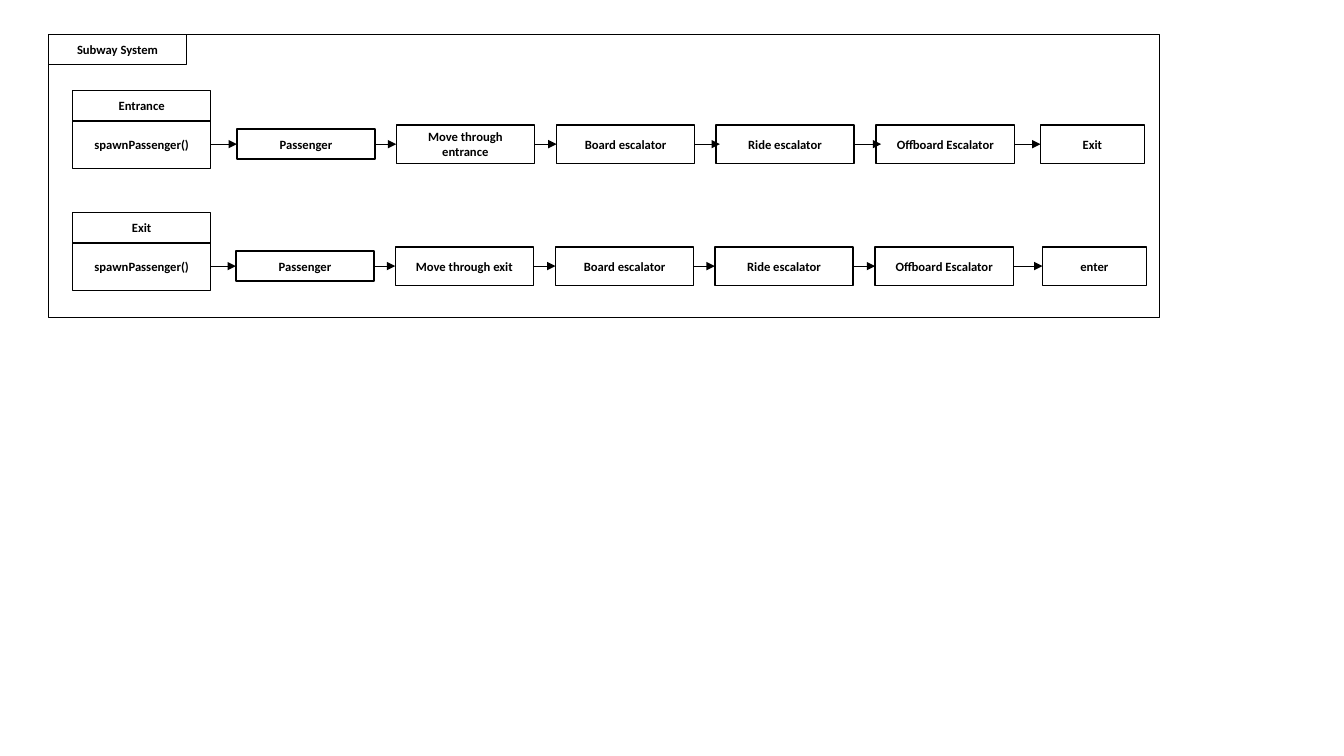
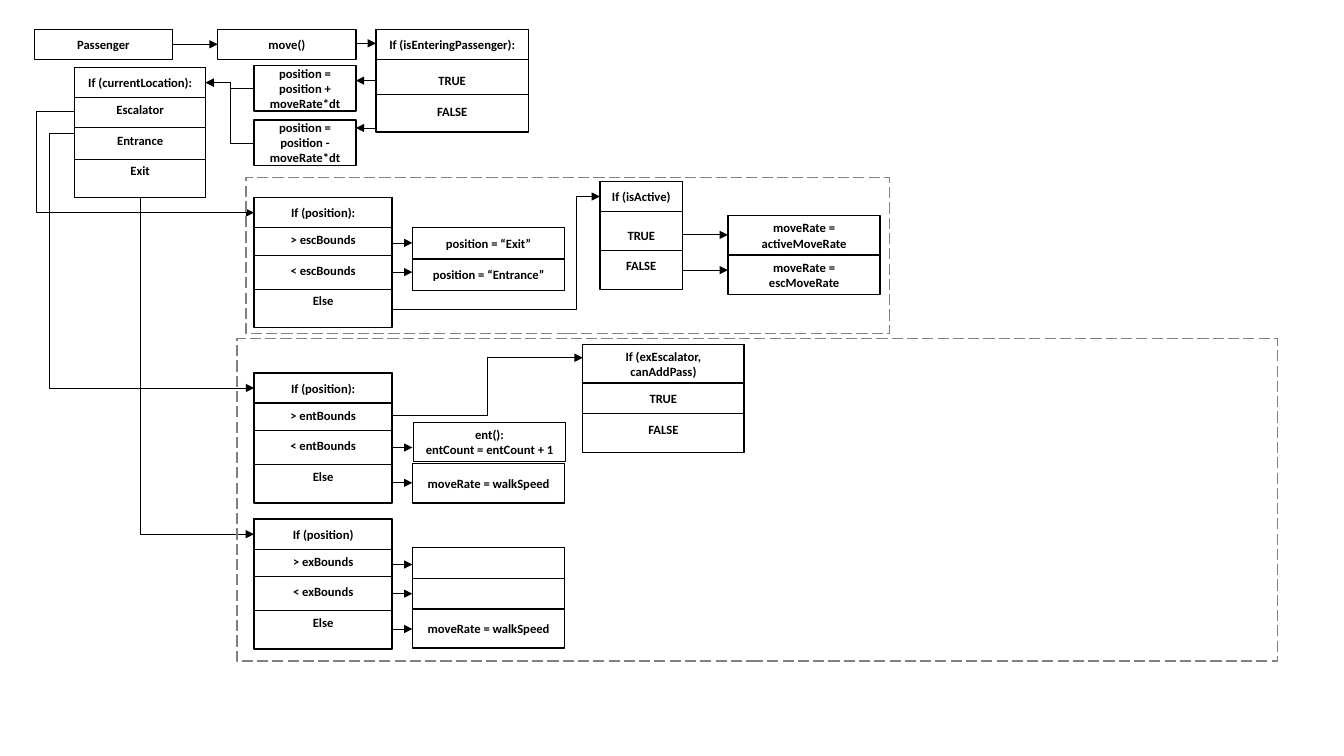
"""Draw two flow charts of a subway passenger simulation."""
import lxml.etree
import pptx
import pptx.dml.color
import pptx.enum.dml
import pptx.enum.shapes
import pptx.enum.text
import pptx.oxml.ns
import pptx.util

BLACK = pptx.dml.color.RGBColor(0x00, 0x00, 0x00)
GRAY = pptx.dml.color.RGBColor(0x80, 0x80, 0x80)
FONT = {"name": "Calibri", "size": pptx.util.Pt(9), "bold": True}
BODY = {"word_wrap": True, "vertical_anchor": pptx.enum.text.MSO_ANCHOR.MIDDLE}
OUTLINE = {"width": pptx.util.Pt(1)}
DASHED = {**OUTLINE, "dash_style": pptx.enum.dml.MSO_LINE.LONG_DASH}
THIN = {"width": pptx.util.Pt(0.5)}
OPTION_GAP = pptx.util.Pt(11)
CONNECTOR = pptx.enum.shapes.MSO_CONNECTOR
RECTANGLE = pptx.enum.shapes.MSO_SHAPE.RECTANGLE
BLANK_LAYOUT = 6
EMU_PER_PX = 9144
BLANK_LINE = 15
HEAD = 30
STEP_WIDTH = 137
STEP_HEIGHT = 38
ACTION_WIDTH = 151


def emu(*lengths):
    return [pptx.util.Emu(length * EMU_PER_PX) for length in lengths]


def assign(target, values):
    for name, value in values.items():
        setattr(target, name, value)


def add_element(parent, tag, **attributes):
    return lxml.etree.SubElement(parent, pptx.oxml.ns.qn(tag), attributes)


class FlowChart:
    def __init__(self):
        self.deck = pptx.Presentation()
        self.deck.slide_width, self.deck.slide_height = emu(1333, 750)
        self.page = None

    def add_page(self):
        self.page = self.deck.slides.add_slide(self.deck.slide_layouts[BLANK_LAYOUT])

    def stroke(self, line, values, color):
        line.color.rgb = color
        assign(line, values)

    def box(self, left, top, width, height, text="", gap=0, inset=0,
            outline=OUTLINE, color=BLACK):
        box = self.page.shapes.add_shape(RECTANGLE, *emu(left, top, width, height))
        box.shadow.inherit = False
        box.fill.background()
        self.stroke(box.line, outline, color)
        if text:
            self.label(box.text_frame, text, gap, inset)

    def label(self, frame, text, gap, inset):
        assign(frame, BODY)
        if inset:
            frame.margin_top, frame.margin_bottom = emu(inset, 0)
        for index, words in enumerate(text.split("\n")):
            para = frame.add_paragraph() if index else frame.paragraphs[0]
            para.alignment = pptx.enum.text.PP_ALIGN.CENTER
            if index and gap:
                para.space_before = gap
            span = para.add_run()
            span.text = words
            assign(span.font, FONT)
            span.font.color.rgb = BLACK

    def line(self, start, end, head=False, kind=CONNECTOR.STRAIGHT):
        line = self.page.shapes.add_connector(kind, *emu(*start, *end))
        self.stroke(line.line, THIN, BLACK)
        outline = line._element.spPr.find(pptx.oxml.ns.qn("a:ln"))
        if head:
            add_element(outline, "a:tailEnd", type="triangle")
        add_element(line._element.spPr, "a:effectLst")
        return line

    def arrow(self, left, right, y):
        self.line((left, y), (right, y), head=True)

    def elbow(self, start, bend, end):
        line = self.line(start, end, head=True, kind=CONNECTOR.ELBOW)
        share = round(100000 * (bend - start[0]) / (end[0] - start[0]))
        guides = line._element.spPr.find(".//" + pptx.oxml.ns.qn("a:avLst"))
        add_element(guides, "a:gd", name="adj1", fmla=f"val {share}")

    def decision(self, left, top, width, height, question, options, dividers, head=HEAD):
        self.box(left, top, width, height, "\n".join(options), gap=OPTION_GAP,
                 inset=BLANK_LINE * (4 - len(options)))
        self.box(left, top, width, head, question)
        for offset in dividers:
            self.line((left, top + offset), (left + width, top + offset))

    def lane(self, top, source, first, steps, last, last_left, overlaps):
        middle = top + 53
        self.box(72, top, STEP_WIDTH, HEAD, source)
        self.box(72, top + HEAD, STEP_WIDTH, 47, "spawnPassenger()")
        lefts = [first + 317 * index // 2 for index in range(len(steps))]
        for left, text in zip(lefts, steps):
            height = HEAD if text == "Passenger" else STEP_HEIGHT
            self.box(left, middle - height // 2, STEP_WIDTH, height, text)
        self.box(last_left, middle - STEP_HEIGHT // 2, 103, STEP_HEIGHT, last)
        for left, target, overlap in zip([72, *lefts], [*lefts, last_left], overlaps):
            self.arrow(left + STEP_WIDTH, target + overlap, middle)


def draw_subway(chart):
    chart.add_page()
    chart.box(48, 34, 1102, 281)
    chart.box(48, 34, STEP_WIDTH, HEAD, "Subway System")
    ride = ["Board escalator", "Ride escalator", "Offboard Escalator"]
    chart.lane(90, "Entrance", 235, ["Passenger", "Move through entrance", *ride],
               "Exit", 1032, [0, 0, 0, 4, 5, 0])
    chart.lane(211, "Exit", 234, ["Passenger", "Move through exit", *ride],
               "enter", 1034, [0] * 6)


def draw_passenger(chart):
    chart.add_page()
    for left, text in [(34, "Passenger"), (216, "move()")]:
        chart.box(left, 29, STEP_WIDTH, HEAD, text)
    for top, sign in [(65, "+"), (119, "-")]:
        chart.box(252, top, 101, 45, f"position = position {sign} moveRate*dt")

    answers = ["TRUE", "FALSE"]
    chart.decision(373, 29, 151, 102, "If (isEnteringPassenger):", answers, [65])
    chart.decision(595, 180, 82, 107, "If (isActive)", answers, [68])
    chart.decision(578, 342, 160, 107, "If (exEscalator, canAddPass)", answers, [68],
                   head=STEP_HEIGHT)
    chart.decision(74, 67, 130, 129, "If (currentLocation):",
                   ["Escalator", "Entrance", "Exit"], [59, 91])
    for top, question, bounds in [(196, "If (position):", "escBounds"),
                                  (370, "If (position):", "entBounds"),
                                  (515, "If (position)", "exBounds")]:
        chart.decision(252, top, STEP_WIDTH, 129, question,
                       [f"> {bounds}", f"< {bounds}", "Else"], [57, 91])

    for left, top, height, text in [
        (409, 226, 31, "position = “Exit”"),
        (409, 257, 31, "position = “Entrance”"),
        (410, 419, 39, "ent():\nentCount = entCount + 1"),
        (409, 460, 39, "moveRate = walkSpeed"),
        (409, 543, 31, ""),
        (409, 574, 31, ""),
        (409, 604, 39, "moveRate = walkSpeed"),
        (722, 214, 39, "moveRate = activeMoveRate"),
        (722, 253, 39, "moveRate = escMoveRate"),
    ]:
        chart.box(left, top, ACTION_WIDTH, height, text)

    for left, right, heights in [
        (171, 216, [44]),
        (353, 373, [43]),
        (373, 353, [80, 127]),
        (389, 409, [241, 270, 444, 479, 560, 589, 624]),
        (677, 722, [233, 268]),
    ]:
        for y in heights:
            chart.arrow(left, right, y)

    for start, bend, end in [
        ((252, 88), 228, (204, 82)),
        ((252, 142), 228, (204, 82)),
        ((74, 110), 36, (252, 211)),
        ((74, 132), 49, (252, 385)),
        ((139, 196), 139, (252, 530)),
        ((389, 307), 572, (595, 195)),
        ((389, 412), 483, (578, 355)),
    ]:
        chart.elbow(start, bend, end)

    for area in [(244, 176, 638, 155), (235, 336, 1032, 320)]:
        chart.box(*area, outline=DASHED, color=GRAY)


def main():
    chart = FlowChart()
    draw_subway(chart)
    draw_passenger(chart)
    chart.deck.save("out.pptx")


if __name__ == "__main__":
    main()
